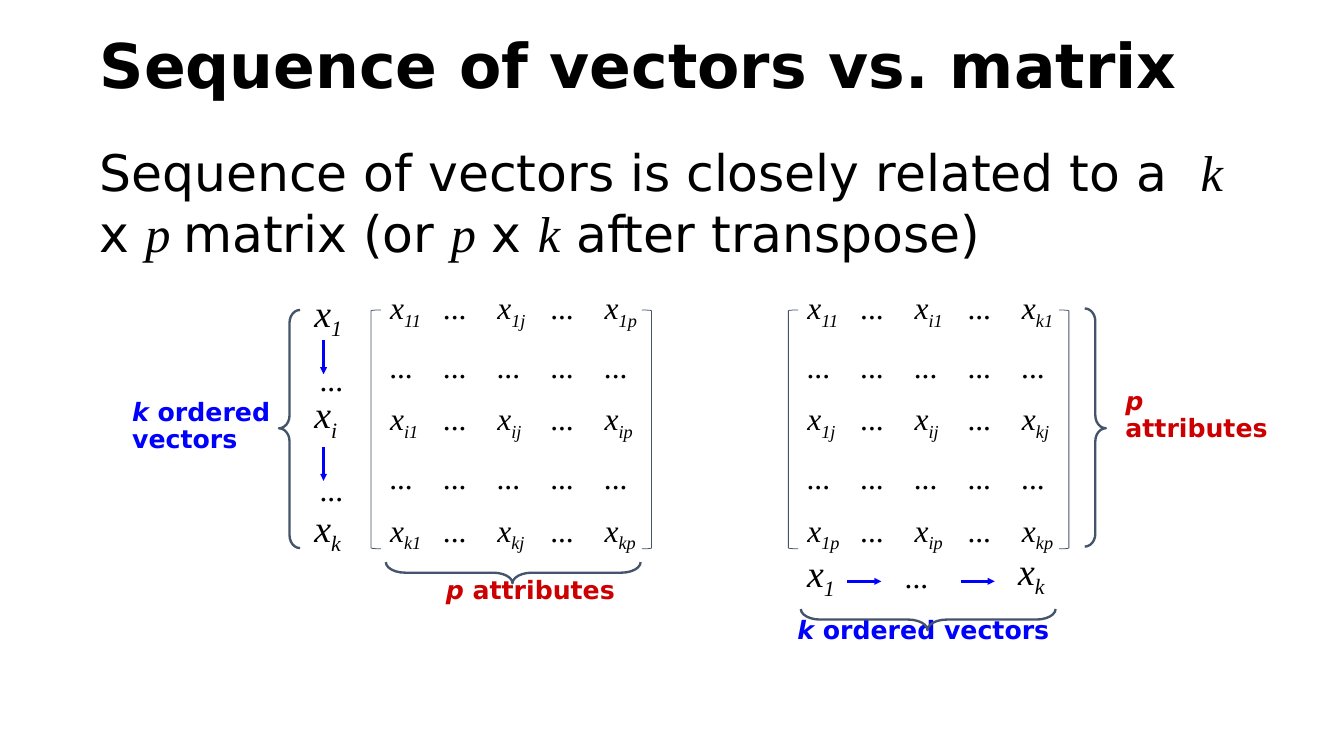
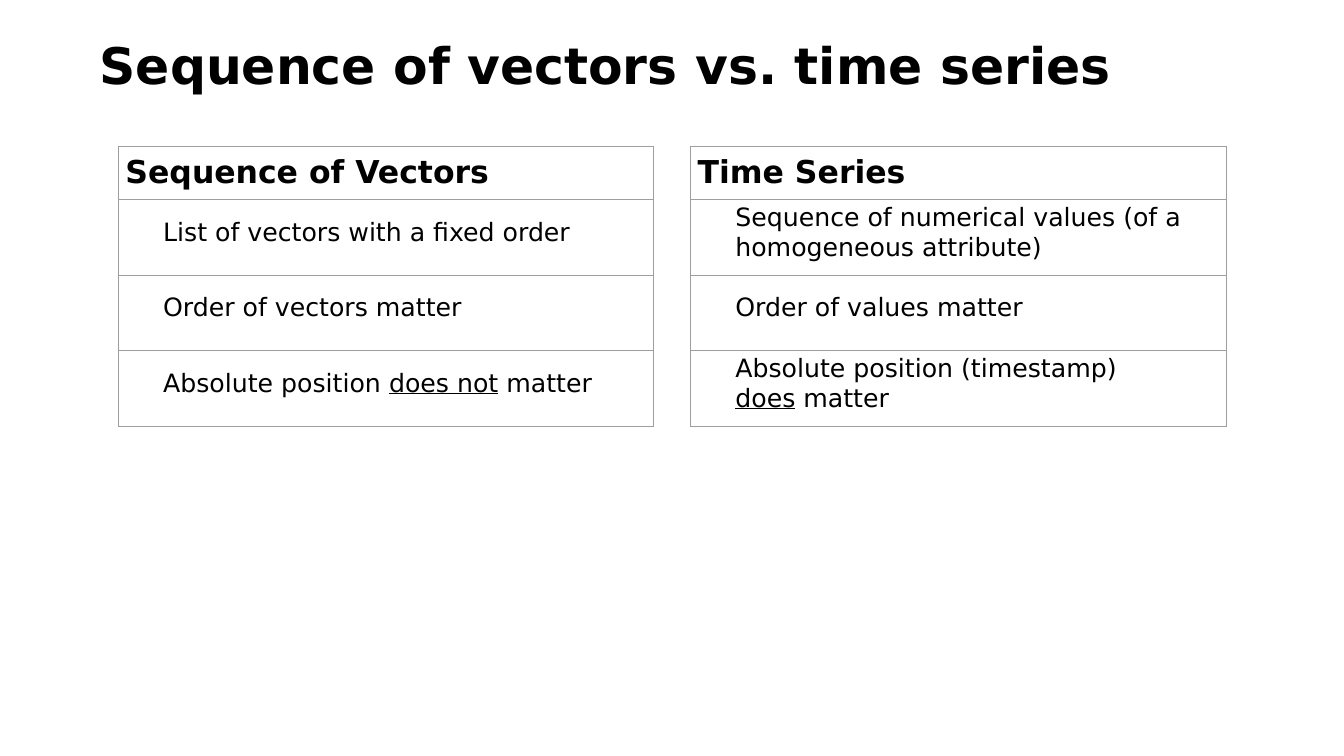
from lxml import etree
from pptx import Presentation
from pptx.dml.color import RGBColor
from pptx.enum import shapes, text
from pptx.oxml import ns
from pptx.util import Pt

PX = 9144  # 100 px to the inch
PAD = 10
BLACK = RGBColor(0, 0, 0)
BLUE = RGBColor(0, 0, 0xFF)
RED = RGBColor(0xCC, 0, 0)
SLATE = RGBColor(0x44, 0x54, 0x6A)
GRID = "9E9E9E"
SANS = "DejaVu Sans"
SERIF = "Times New Roman"
PLAIN = "{2D5ABB26-0587-4C30-8999-92F81FD0307C}"  # no style, no grid
KIND = shapes.MSO_SHAPE

VECTORS = ["1", None, "i", None, "k"]
ATTRS = ["1", None, "j", None, "p"]
DOTS = [("...", "m")]


def px(*nums):
    return [num * PX for num in nums]


def sub(parent, tag, **attrs):
    return etree.SubElement(parent, ns.qn(tag), attrs)


def write(para, parts, size, color=BLACK, bold=False):
    """Add (text, marks) parts; i italic, m serif italic, s subscript, u underline."""
    for words, marks in parts:
        run = para.add_run()
        run.text = words
        font = run.font
        font.size = Pt(size)
        font.name = SERIF if "m" in marks else SANS
        font.color.rgb = color
        font.bold = bold
        font.italic = "i" in marks or "m" in marks
        font.underline = "u" in marks
        if "s" in marks:
            run._r.get_or_add_rPr().set("baseline", "-25000")


def box(slide, at, paras, size, color=BLACK, bold=False, pad=PAD,
        mid=False, lead=None, indent=0):
    frame = slide.shapes.add_textbox(*px(*at)).text_frame
    frame.word_wrap = True
    frame.margin_left, frame.margin_right = px(PAD, PAD)
    frame.margin_top, frame.margin_bottom = px(pad, pad)
    frame.vertical_anchor = text.MSO_ANCHOR.MIDDLE if mid else text.MSO_ANCHOR.TOP
    for num, parts in enumerate(paras):
        para = frame.add_paragraph() if num else frame.paragraphs[0]
        if lead:
            para.line_spacing = lead
        if indent:
            props = para._p.get_or_add_pPr()
            props.set("marL", str(indent * PX))
            props.set("indent", "0")
        write(para, parts, size, color, bold)


def title(slide, words, size):
    box(slide, (122, 36, 1533, 109), [[(words, "")]], size, bold=True,
        pad=5, mid=True, lead=0.9)


def label(slide, at, head, rest, color):
    box(slide, at, [[(head, "i"), (rest, "")]], 24, color, bold=True, lead=0.9)


def symbol(index):
    return [("x", "m"), (index, "ms")]


def vector(slide, left, top, index):
    box(slide, (left, top, 79, 109), [symbol(index)], 36)


def dots(slide, left, top):
    box(slide, (left, top, 63, 83), [DOTS], 30)


def arrow(slide, x, y, dx, dy):
    line = slide.shapes.add_connector(
        shapes.MSO_CONNECTOR.STRAIGHT, *px(x, y, x + dx, y + dy))
    line.line.color.rgb = BLUE
    line.line.width = Pt(2.25)
    sub(line.line._get_or_add_ln(), "a:tailEnd", type="triangle")
    sub(line._element.spPr, "a:effectLst")


def outline(slide, kind, at, width, adjust, turn=0):
    shape = slide.shapes.add_shape(kind, *px(*at))
    shape.shadow.inherit = False
    shape.fill.background()
    shape.line.color.rgb = SLATE
    shape.line.width = Pt(width)
    shape.rotation = turn
    for num, value in enumerate(adjust):
        shape.adjustments[num] = value


def brace(slide, at, curl, turn=0):
    outline(slide, KIND.LEFT_BRACE, at, 2.25, (curl, 0.497), turn)


def table(slide, left, top, wide, rows, cols):
    """Add a plain table with the given row heights and column count."""
    frame = slide.shapes.add_table(
        len(rows), cols, *px(left, top, wide * cols, sum(rows)))
    grid = frame.table
    grid.first_row = grid.horz_banding = False
    grid._tbl.tblPr.find(ns.qn("a:tableStyleId")).text = PLAIN
    for col in grid.columns:
        col.width = wide * PX
    for row, high in zip(grid.rows, rows):
        row.height = high * PX
    for cell in grid.iter_cells():
        cell.margin_left, cell.margin_right = px(PAD, PAD)
        cell.margin_top, cell.margin_bottom = px(PAD, PAD)
    return grid


def border(cell):
    props = cell._tc.get_or_add_tcPr()
    for side in "LRTB":
        edge = sub(props, f"a:ln{side}", w=str(Pt(0.75)))
        sub(sub(edge, "a:solidFill"), "a:srgbClr", val=GRID)


def matrix(slide, left, flip=False):
    """Draw the k by p matrix between brackets, transposed if flip is set."""
    down, across = (ATTRS, VECTORS) if flip else (VECTORS, ATTRS)
    grid = table(slide, left, 376, 71, [70] * 5, 5)
    for r, row in enumerate(down):
        for c, col in enumerate(across):
            index = (col, row) if flip else (row, col)
            parts = symbol("".join(index)) if all(index) else DOTS
            write(grid.cell(r, c).text_frame.paragraphs[0], parts, 30)
    edge = left - 15
    for x, turn in ((edge, 0), (edge + 358, 180)):
        outline(slide, KIND.LEFT_BRACKET, (x, 410, 13, 316), 0.75, [0.083], turn)


def panel(slide, left, head, items):
    grid = table(slide, left, 194, 709, [70, 100, 100, 100], 1)
    for cell in grid.iter_cells():
        border(cell)
    write(grid.cell(0, 0).text_frame.paragraphs[0], [(head, "")], 30, bold=True)
    for num, paras in enumerate(items):
        box(slide, (left, 256 + 100 * num, 709, 100), paras, 24,
            mid=True, indent=50)


def compare(slide):
    """Sequence of vectors beside its matrix and the transpose."""
    title(slide, "Sequence of vectors vs. matrix", 58.7)
    box(slide, (122, 182, 1533, 185), [[
        ("Sequence of vectors is closely related to a  ", ""), ("k", "m"),
        (" x ", ""), ("p ", "m"), ("matrix (or ", ""), ("p", "m"),
        (" x ", ""), ("k", "m"), (" after transpose)", "")]], 48, pad=5)

    matrix(slide, 506)
    for top, index in ((373, "1"), (507, "i"), (657, "k")):
        vector(slide, 406, top, index)
    for y in (450, 591):
        arrow(slide, 428, y, 0, 45)
    for top in (466, 612):
        dots(slide, 414, top)
    brace(slide, (369, 410, 28, 315), 0.606)
    label(slide, (165, 519, 219, 117), "k", " ordered vectors", BLUE)
    brace(slide, (665, 589, 28, 337), 0.911, 270)
    label(slide, (580, 754, 246, 86), "p", " attributes", RED)

    matrix(slide, 1058, flip=True)
    vector(slide, 1058, 717, "1")
    dots(slide, 1188, 727)
    vector(slide, 1337, 714, "k")
    for x in (1121, 1271):
        arrow(slide, x, 769, 45, 0)
    brace(slide, (1435, 408, 28, 315), 0.606, 180)
    label(slide, (1045, 807, 395, 97), "k", " ordered vectors", BLUE)
    brace(slide, (1214, 651, 28, 337), 0.911, 270)
    label(slide, (1479, 504, 212, 86), "p", " attributes", RED)


def series(slide):
    """Sequence of vectors against time series."""
    title(slide, "Sequence of vectors vs. time series", 48)
    panel(slide, 156, "Sequence of Vectors", [
        [[("List of vectors with a fixed order", "")]],
        [[("Order of vectors matter", "")]],
        [[("Absolute position ", ""), ("does not", "u"), (" matter", "")]]])
    panel(slide, 913, "Time Series", [
        [[("Sequence of numerical values (of a homogeneous attribute)", "")]],
        [[("Order of values matter", "")]],
        [[("Absolute position (timestamp)", "")],
         [("does", "u"), (" matter", "")]]])


def main():
    deck = Presentation()
    deck.slide_width, deck.slide_height = px(1778, 1000)
    for draw in (compare, series):
        draw(deck.slides.add_slide(deck.slide_layouts[6]))
    deck.save("out.pptx")


if __name__ == "__main__":
    main()
